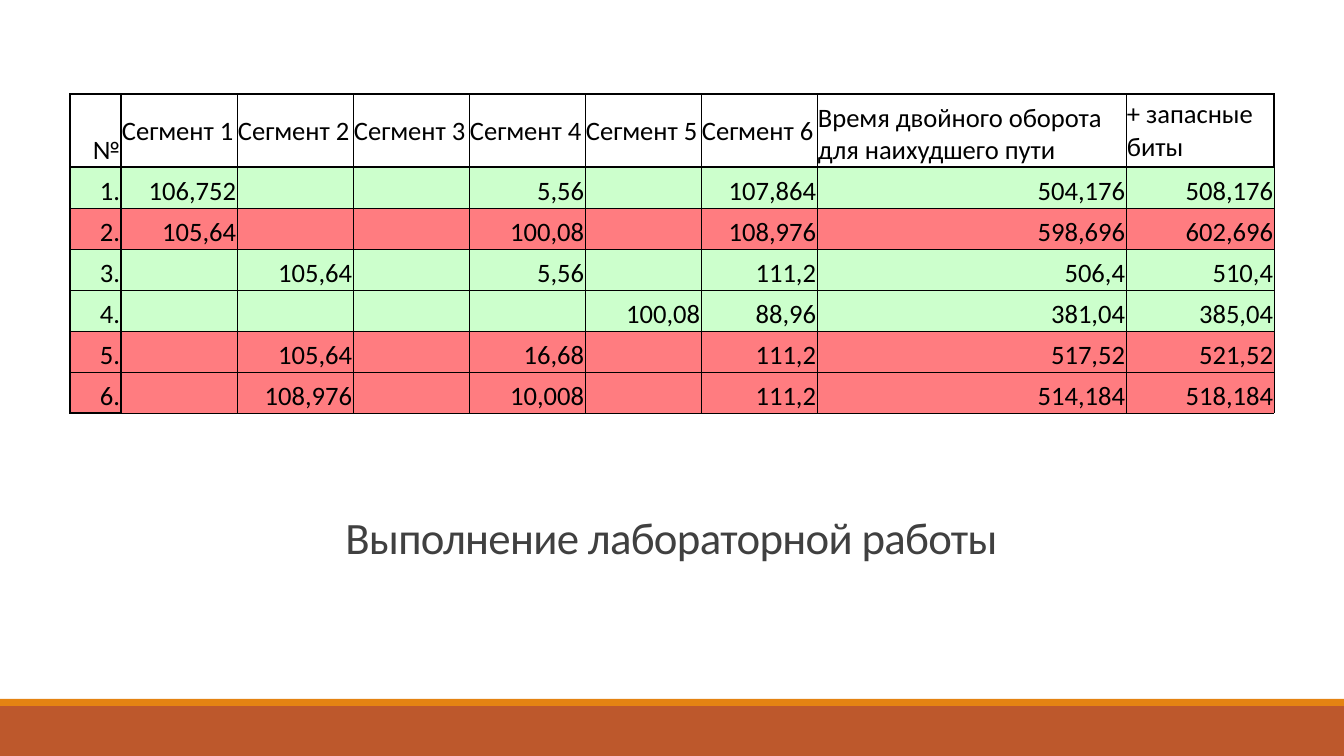
from lxml import etree
from pptx import Presentation
from pptx.dml.color import RGBColor
from pptx.enum.shapes import MSO_SHAPE as Preset
from pptx.enum.text import MSO_ANCHOR as Anchor, MSO_AUTO_SIZE as AutoSize, PP_ALIGN as Align
from pptx.oxml.ns import qn
from pptx.util import Pt

COLORS = {
    "rust": "BD582C",
    "orange": "E48312",
    "title": "404040",
    "black": "000000",
    "passed": "CCFFCC",
    "failed": "FF7C80",
}
FONT = "Calibri"
WIDTH, HEIGHT = 1344, 756
EMU_PER_PX = 12192000 / WIDTH


def px(*lengths):
    return [round(length * EMU_PER_PX) for length in lengths]


def set_border(cell, side, points):
    line = etree.SubElement(cell._tc.get_or_add_tcPr(), qn(f"a:ln{side}"), w=str(Pt(points)))
    fill = etree.SubElement(line, qn("a:solidFill"))
    etree.SubElement(fill, qn("a:srgbClr"), val=COLORS["black"])


presentation = Presentation()
presentation.slide_width, presentation.slide_height = px(WIDTH, HEIGHT)
slide = presentation.slides.add_slide(presentation.slide_layouts[5])

# Bottom bars
for top, height, color in [(706, 50, "rust"), (699, 7, "orange")]:
    bar = slide.shapes.add_shape(Preset.RECTANGLE, *px(0, top, WIDTH, height))
    bar.shadow.inherit = False
    bar.fill.solid()
    bar.fill.fore_color.rgb = RGBColor.from_string(COLORS[color])
    bar.line.fill.background()

# Title
title = slide.shapes.title
title.left, title.top, title.width, title.height = px(176, 471, 991, 139)
frame = title.text_frame
frame.text = "Выполнение лабораторной работы"
side_inset, end_inset = px(30, 20)
frame_format = {
    "margin_left": side_inset, "margin_right": side_inset,
    "margin_top": end_inset, "margin_bottom": end_inset,
    "vertical_anchor": Anchor.MIDDLE, "word_wrap": True, "auto_size": AutoSize.NONE,
}
for name, value in frame_format.items():
    setattr(frame, name, value)
paragraph = frame.paragraphs[0]
paragraph.alignment = Align.CENTER
paragraph.line_spacing = 0.85
run = paragraph.runs[0]
run.font.name, run.font.size = FONT, Pt(32)
run.font.color.rgb = RGBColor.from_string(COLORS["title"])
run._r.get_or_add_rPr().set("spc", "-50")

# Table values: each path has a result and its cells
header = ["№", *[f"Сегмент {number}" for number in range(1, 7)],
          "Время двойного оборота для наихудшего пути", "+ запасные биты"]
paths = [
    ("passed", ["106,752", "", "", "5,56", "", "107,864", "504,176", "508,176"]),
    ("failed", ["105,64", "", "", "100,08", "", "108,976", "598,696", "602,696"]),
    ("passed", ["", "105,64", "", "5,56", "", "111,2", "506,4", "510,4"]),
    ("passed", ["", "", "", "", "100,08", "88,96", "381,04", "385,04"]),
    ("failed", ["", "105,64", "", "16,68", "", "111,2", "517,52", "521,52"]),
    ("failed", ["", "108,976", "", "10,008", "", "111,2", "514,184", "518,184"]),
]
rows = [(None, header)]
rows += [(result, [f"{number}.", *values]) for number, (result, values) in enumerate(paths, 1)]
column_widths = [51, *[116] * 6, 309, 148]
row_heights = [73, *[41] * len(paths)]

# Table grid
table = slide.shapes.add_table(
    len(rows), len(header), *px(70, 94, sum(column_widths), sum(row_heights))).table
table.first_row = table.horz_banding = False
for column, width in zip(table.columns, px(*column_widths)):
    column.width = width
for row, height in zip(table.rows, px(*row_heights)):
    row.height = height

# Table cells
inset = px(1)[0]
last_column = len(header) - 1
for row_index, (result, values) in enumerate(rows):
    is_header = row_index == 0
    for column_index, text in enumerate(values):
        cell = table.cell(row_index, column_index)
        is_number = column_index == 0
        centred = is_header and column_index not in (0, 7)
        cell_format = {
            "margin_left": inset, "margin_right": inset,
            "margin_top": inset, "margin_bottom": 0,
            "vertical_anchor": Anchor.MIDDLE if centred else Anchor.BOTTOM,
        }
        for name, value in cell_format.items():
            setattr(cell, name, value)

        # The header and the number column have heavier frames
        heavy = {
            "L": column_index <= 1,
            "R": is_number or (is_header and column_index == last_column),
            "T": row_index <= 1,
            "B": is_header or (is_number and row_index == len(paths)),
        }
        for side, is_heavy in heavy.items():
            set_border(cell, side, 1 if is_heavy else 0.5)

        if is_header:
            cell.fill.background()
        else:
            cell.fill.solid()
            cell.fill.fore_color.rgb = RGBColor.from_string(COLORS[result])

        paragraph = cell.text_frame.paragraphs[0]
        paragraph.alignment = Align.LEFT if is_header and not is_number else Align.RIGHT
        if text:
            run = paragraph.add_run()
            run.text = text
            run.font.name, run.font.size = FONT, Pt(19)
            run.font.color.rgb = RGBColor.from_string(COLORS["black"])

presentation.save("out.pptx")
